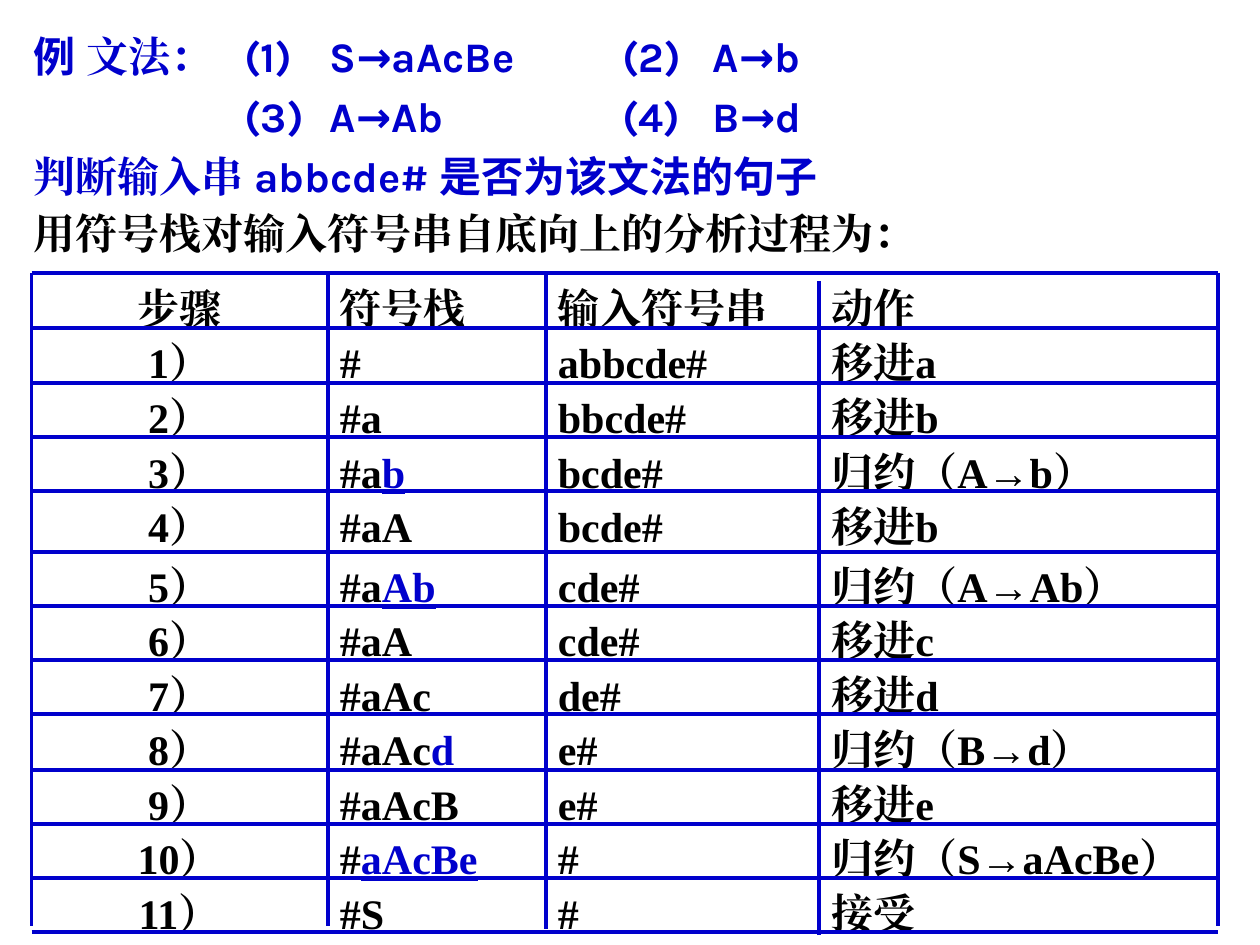
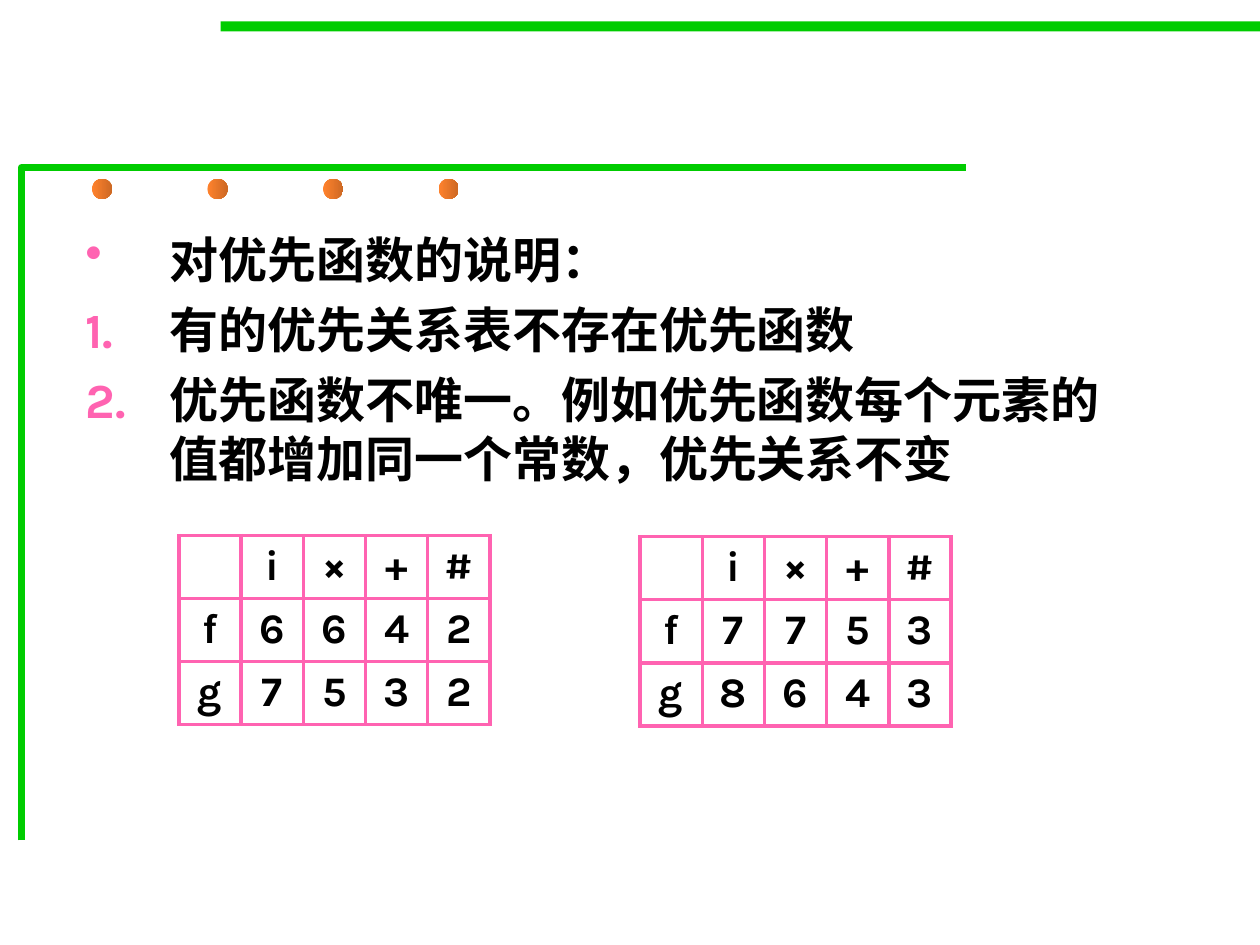
from lxml import etree
from pptx import Presentation
from pptx.dml.color import RGBColor
from pptx.enum import shapes, text
from pptx.oxml import ns
from pptx.util import Inches, Pt

COLORS = {"blue": "0000CC", "black": "000000", "green": "00CC00",
          "pink": "FF63B1", "orange": "FF822D", "brown": "CD6924"}
KARLA = "Karla"
TIMES = "Times New Roman"

COLUMN_EDGES = [0.25, 2.6, 4.33, 6.5, 9.67]
COLUMN_SPANS = [(2.17, 7.35), (2.17, 7.35), (2.18, 7.37), (2.23, 7.42), (2.17, 7.35)]
ROW_HEIGHT = 0.43
ROW_EDGES = ([round(2.17 + 0.4325 * i, 2) for i in range(5)]
             + [round(4.38 + 0.4315 * i, 2) for i in range(8)])

HEADER = ("步骤", "符号栈", "输入符号串", "动作")
STEPS = [
    ("#", "abbcde#", "移进a"),
    ("#a", "bbcde#", "移进b"),
    ("#a|b", "bcde#", "归约（A→b）"),
    ("#aA", "bcde#", "移进b"),
    ("#a|Ab", "cde#", "归约（A→Ab）"),
    ("#aA", "cde#", "移进c"),
    ("#aAc", "de#", "移进d"),
    ("#aAc|d", "e#", "归约（B→d）"),
    ("#aAcB", "e#", "移进e"),
    ("#|aAcBe", "#", "归约（S→aAcBe）"),
    ("#S", "#", "接受"),
]


def rgb(name):
    return RGBColor.from_string(COLORS[name])


def sub(parent, tag, **attrs):
    return etree.SubElement(parent, ns.qn(tag), {k: str(v) for k, v in attrs.items()})


def add_run(p, words, size, font, color, underline=False):
    r = p.add_run()
    r.text = words
    r.font.size = Pt(size)
    r.font.bold = True
    r.font.name = font
    r.font.color.rgb = rgb(color)
    if underline:
        r.font.underline = True
    sub(r._r.get_or_add_rPr(), "a:ea", typeface=font)


def add_box(slide, left, top, width, height):
    sp = slide.shapes.add_textbox(Inches(left), Inches(top), Inches(width), Inches(height))
    tf = sp.text_frame
    tf.word_wrap = True
    tf.margin_top = Inches(0.07)
    return tf


def next_paragraph(tf, first, space):
    if first:
        return tf.paragraphs[0]
    p = tf.add_paragraph()
    p.space_before = Pt(space)
    return p


def set_tabs(p, stops):
    tabs = sub(p._p.get_or_add_pPr(), "a:tabLst")
    for stop in stops:
        sub(tabs, "a:tab", pos=Inches(stop), algn="l")


def set_bullet(p, numbered):
    pPr = p._p.get_or_add_pPr()
    pPr.set("marL", str(Inches(0.67)))
    pPr.set("indent", str(-Inches(0.67)))
    sub(sub(pPr, "a:buClr"), "a:srgbClr", val=COLORS["pink"])
    if numbered:
        sub(pPr, "a:buAutoNum", type="arabicPeriod")
    else:
        sub(pPr, "a:buChar", char="•")


def add_line(slide, x1, y1, x2, y2):
    line = slide.shapes.add_connector(shapes.MSO_CONNECTOR.STRAIGHT,
                                      Inches(x1), Inches(y1), Inches(x2), Inches(y2))
    line.line.color.rgb = rgb("blue")
    line.line.width = Pt(2.25)
    sub(line._element.spPr, "a:effectLst")


def add_shape(slide, kind, left, top, width, height):
    sp = slide.shapes.add_shape(kind, Inches(left), Inches(top), Inches(width), Inches(height))
    sp.shadow.inherit = False
    sp.line.fill.background()
    return sp


def add_grammar(slide):
    tf = add_box(slide, 0.17, 0.17, 9.33, 1.5)
    lines = [
        [("例 ", KARLA), ("文法：", TIMES), ("\t(1)\tS→aAcBe\t(2)\tA→b", KARLA)],
        [("\t(3)\tA→Ab\t(4)\tB→d", KARLA)],
        [("判断输入串 ", TIMES), ("abbcde# 是否为该文法的句子", KARLA)],
    ]
    for i, runs in enumerate(lines):
        p = next_paragraph(tf, i == 0, 5.6)
        set_tabs(p, [1.67, 2.35, 4.67, 5.39])
        for words, font in runs:
            add_run(p, words, 24, font, "blue")
    tf = add_box(slide, 0.17, 1.58, 9.42, 0.5)
    add_run(tf.paragraphs[0], "用符号栈对输入符号串自底向上的分析过程为：", 24, TIMES, "black")


def add_step_cell(slide, row, col, words):
    left, right = COLUMN_EDGES[col:col + 2]
    tf = add_box(slide, left, ROW_EDGES[row], right - left, ROW_HEIGHT)
    p = tf.paragraphs[0]
    p.alignment = text.PP_ALIGN.CENTER if col == 0 else text.PP_ALIGN.JUSTIFY
    kept, _, handle = words.partition("|")
    add_run(p, kept, 24, TIMES, "black")
    if handle:
        add_run(p, handle, 24, TIMES, "blue", underline=True)


def add_analysis(slide):
    rows = [HEADER] + [(f"{n}）", *step) for n, step in enumerate(STEPS, 1)]
    for row, cells in enumerate(rows):
        for col, words in enumerate(cells):
            add_step_cell(slide, row, col, words)
    for y in ROW_EDGES:
        add_line(slide, COLUMN_EDGES[0], y, COLUMN_EDGES[-1], y)
    for x, (top, bottom) in zip(COLUMN_EDGES, COLUMN_SPANS):
        add_line(slide, x, top, x, bottom)


def add_frame(slide):
    band = add_shape(slide, shapes.MSO_SHAPE.RECTANGLE, 1.75, 0.17, 8.25, 0.08)
    band.fill.solid()
    band.fill.fore_color.rgb = rgb("green")
    builder = slide.shapes.build_freeform(Inches(0.17), Inches(6.67))
    builder.add_line_segments([(Inches(0.17), Inches(1.33)), (Inches(7.67), Inches(1.33))],
                              close=False)
    corner = builder.convert_to_shape()
    corner.shadow.inherit = False
    corner.fill.background()
    corner.line.color.rgb = rgb("green")
    corner.line.width = Pt(4)
    for i in range(4):
        dot = add_shape(slide, shapes.MSO_SHAPE.OVAL, 0.73 + 0.917 * i, 1.42, 0.16, 0.16)
        dot.fill.gradient()
        dot.fill.gradient_angle = 0
        for stop, color in zip(dot.fill.gradient_stops, ("orange", "brown")):
            stop.color.rgb = rgb(color)


def add_notes_on_functions(slide):
    tf = add_box(slide, 0.58, 1.75, 8.5, 5.08)
    points = ["对优先函数的说明：",
              "有的优先关系表不存在优先函数",
              "优先函数不唯一。例如优先函数每个元素的值都增加同一个常数，优先关系不变"]
    for i, words in enumerate(points):
        p = next_paragraph(tf, i == 0, 6.5)
        set_bullet(p, numbered=i > 0)
        add_run(p, words, 28, KARLA, "black")


def set_borders(cell):
    tcPr = cell._tc.get_or_add_tcPr()
    for side in ("a:lnL", "a:lnR", "a:lnT", "a:lnB"):
        ln = sub(tcPr, side, w=Pt(2.25))
        sub(sub(ln, "a:solidFill"), "a:srgbClr", val=COLORS["pink"])


def add_precedence_table(slide, left, top, f, g):
    rows = [("", "i", "×", "+", "#"), ("f", *f), ("g", *g)]
    table = slide.shapes.add_table(3, 5, Inches(left), Inches(top),
                                   Inches(2.47), Inches(1.47)).table
    table.first_row = False
    table.horz_banding = False
    for column in table.columns:
        column.width = Inches(2.47 / 5)
    for row, values in enumerate(rows):
        table.rows[row].height = Inches(0.49)
        for col, value in enumerate(values):
            cell = table.cell(row, col)
            set_borders(cell)
            cell.fill.background()
            if value:
                p = cell.text_frame.paragraphs[0]
                p.alignment = text.PP_ALIGN.CENTER
                add_run(p, value, 24, KARLA, "black")


def main():
    prs = Presentation()
    prs.slide_width = Inches(10)
    prs.slide_height = Inches(7.5)
    blank = prs.slide_layouts[6]

    parsing = prs.slides.add_slide(blank)
    add_grammar(parsing)
    add_analysis(parsing)

    precedence = prs.slides.add_slide(blank)
    add_frame(precedence)
    add_notes_on_functions(precedence)
    add_precedence_table(precedence, 1.42, 4.25, "6642", "7532")
    add_precedence_table(precedence, 5.08, 4.26, "7753", "8643")

    prs.save("out.pptx")


if __name__ == "__main__":
    main()
